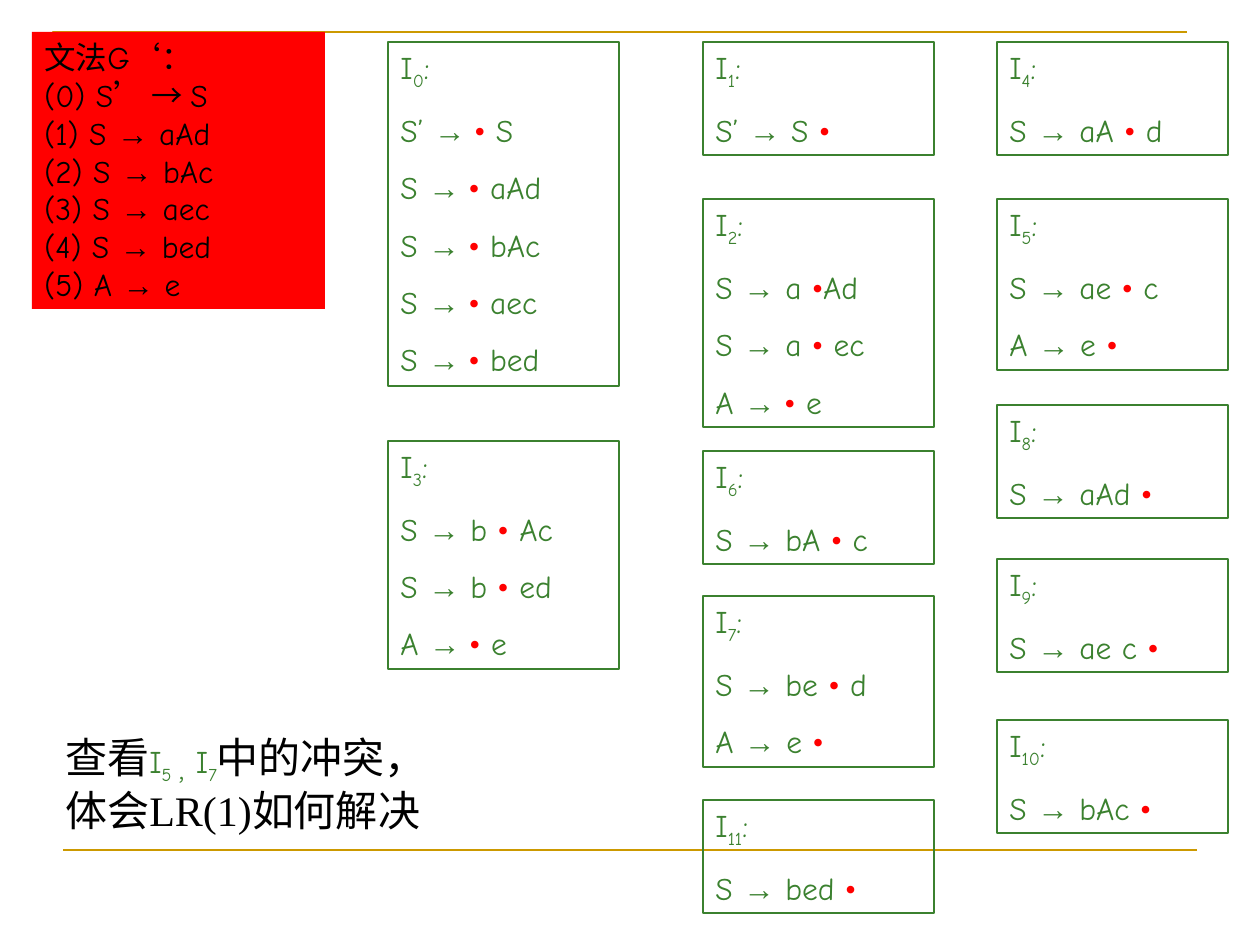
"""Build the LR item-set slide: a grammar, twelve item sets and a closing remark."""
from lxml import etree
from pptx import Presentation
from pptx.dml.color import RGBColor
from pptx.enum.shapes import MSO_CONNECTOR, MSO_SHAPE
from pptx.enum.text import MSO_ANCHOR, MSO_AUTO_SIZE, PP_ALIGN
from pptx.oxml.ns import qn
from pptx.util import Emu, Pt

RECT = MSO_SHAPE.RECTANGLE
LINE = MSO_CONNECTOR.STRAIGHT
TOP = MSO_ANCHOR.TOP
LEFT = PP_ALIGN.LEFT
GROW = MSO_AUTO_SIZE.SHAPE_TO_FIT_TEXT
SCALE = 914400 / 126
COMIC, ARIAL, TIMES = "Comic Neue", "Arial", "Times New Roman"
GREEN, RED, BLACK, GOLD = "3B812F", "FF0000", "000000", "CC9900"

GRAMMAR = [
    "文法G‘：", "(0) S’ |→ |S", "(1) S |→| aAd ", "(2) S |→| bAc",
    "(3) S |→| aec", "(4) S |→| bed", "(5) A |→| e",
]
COLUMNS = {
    388: [
        (42, "0", ["S’ |→ |•| S", "S |→ |•| aAd", "S |→ |•| bAc", "S |→ |•| aec", "S |→ |•| bed"]),
        (441, "3", ["S |→| b |•| Ac", "S |→| b |•| ed", "A |→ |•| e"]),
    ],
    703: [
        (42, "1", ["S’ |→| S |•"]),
        (199, "2", ["S |→| a |•|Ad", "S |→| a |•| ec", "A |→ |•| e"]),
        (451, "6", ["S |→| bA |•| c"]),
        (596, "7", ["S |→| be |•| d", "A |→| e |•"]),
        (800, "11", ["S |→| bed |•"]),
    ],
    997: [
        (42, "4", ["S |→| aA |•| d"]),
        (199, "5", ["S |→| ae |•| c", "A |→| e |•"]),
        (405, "8", ["S |→| aAd |•"]),
        (559, "9", ["S |→| ae c |•"]),
        (720, "10", ["S |→| bAc |•"]),
    ],
}


def px(size):
    """Turn px into EMU."""
    return Emu(round(size * SCALE))


def rgb(code):
    """Turn a hex string into a colour."""
    return RGBColor.from_string(code)


class Deck:
    """Hold the style and the current slide."""

    def __init__(self):
        """Open a deck with one blank slide."""
        self.prs = Presentation()
        self.prs.slide_width, self.prs.slide_height = px(1260), px(945)
        self.slide = self.prs.slides.add_slide(self.prs.slide_layouts[6])
        self.shapes = self.slide.shapes

    def font(self, font, name=None, size=None, color=None):
        """Set the given parts of a font."""
        if name:
            font.name = name
        if size:
            font.size = Pt(size)
        if color:
            font.color.rgb = rgb(color)

    def run(self, para, text, name=None, size=None, color=None, sub=False):
        """Add a run, lowered if it is a subscript."""
        run = para.add_run()
        run.text = text
        self.font(run.font, name, size, color)
        if sub:
            run.font._element.set("baseline", "-25000")

    def rule(self, para, line, color):
        """Add the parts of a grammar rule, each in its own font."""
        looks = {"→": (ARIAL, color), "•": (TIMES, RED)}
        for part in line.split("|"):
            name, tint = looks.get(part[0], (COMIC, color))
            self.run(para, part, name, color=tint)

    def frame(self, shape):
        """Prepare the text frame of a shape."""
        frame = shape.text_frame
        frame.word_wrap = True
        frame.auto_size = GROW
        frame.vertical_anchor = TOP
        frame.paragraphs[0].alignment = LEFT
        return frame

    def box(self, left, top, width, height, fill=None, line=None):
        """Add a rectangle and return its text frame."""
        shape = self.shapes.add_shape(RECT, px(left), px(top), px(width), px(height))
        shape.shadow.inherit = False
        if fill:
            shape.fill.solid()
            shape.fill.fore_color.rgb = rgb(fill)
        else:
            shape.fill.background()
        if line:
            shape.line.color.rgb = rgb(line)
            shape.line.width = Pt(0.75)
        else:
            shape.line.fill.background()
        return self.frame(shape)

    def state(self, left, top, index, items):
        """Add an item set whose height follows its rules."""
        frame = self.box(left, top, 231, round(55.5 + 57.6 * len(items)), line=GREEN)
        head = frame.paragraphs[0]
        self.font(head.font, COMIC, 18, GREEN)
        self.run(head, "I", COMIC, color=GREEN)
        self.run(head, index, COMIC, color=GREEN, sub=True)
        self.run(head, ":", COMIC, color=GREEN)
        for item in items:
            para = frame.add_paragraph()
            para.alignment = LEFT
            para.space_before = Pt(11.2)
            self.font(para.font, size=18)
            self.rule(para, item, GREEN)

    def grammar(self, lines):
        """Add the red grammar box."""
        para = self.box(32, 32, 293, 277, fill=RED).paragraphs[0]
        self.font(para.font, size=18, color=BLACK)
        for row, line in enumerate(lines):
            if row:
                para.add_line_break()
            self.rule(para, line, BLACK)

    def note(self):
        """Add the closing remark."""
        shape = self.shapes.add_textbox(px(53), px(725), px(420), px(117))
        para = self.frame(shape).paragraphs[0]
        self.run(para, "查看", TIMES, 24, BLACK)
        for text, sub in (("I", False), ("5 ，", True), ("I", False), ("7", True)):
            self.run(para, text, COMIC, 18, GREEN, sub)
        self.run(para, "中的冲突，体会LR(1)如何解决", TIMES, 24, BLACK)

    def stroke(self, line):
        """Style a gold rule."""
        line.color.rgb = rgb(GOLD)
        line.width = Pt(1.5)

    def corner(self):
        """Add the gold corner at the top."""
        path = self.shapes.build_freeform(53, 116, SCALE)
        path.add_line_segments([(53, 32), (1187, 32)], close=False)
        shape = path.convert_to_shape()
        shape.shadow.inherit = False
        shape.fill.background()
        self.stroke(shape.line)

    def base(self):
        """Add the gold line at the bottom."""
        line = self.shapes.add_connector(LINE, px(63), px(850), px(1197), px(850))
        self.stroke(line.line)
        etree.SubElement(line._element.spPr, qn("a:effectLst"))


def main():
    """Build and save the slide."""
    deck = Deck()
    deck.corner()
    deck.base()
    deck.grammar(GRAMMAR)
    for left, states in COLUMNS.items():
        for top, index, items in states:
            deck.state(left, top, index, items)
    deck.note()
    deck.prs.save("out.pptx")


if __name__ == "__main__":
    main()
